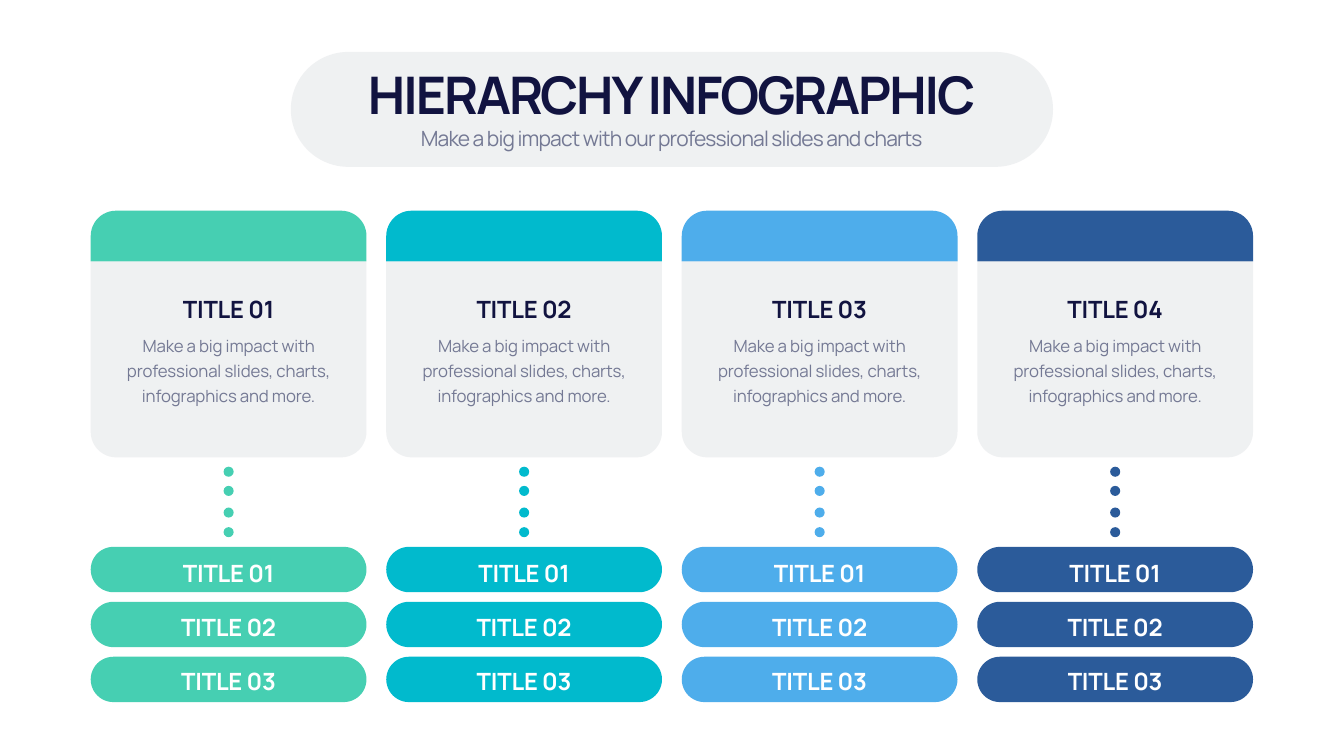
from dataclasses import dataclass

from lxml.etree import SubElement
from pptx import Presentation
from pptx.dml.color import RGBColor
from pptx.enum.shapes import MSO_SHAPE as Shape
from pptx.enum.text import MSO_ANCHOR as Anchor, MSO_AUTO_SIZE as AutoSize, PP_ALIGN as Align
from pptx.oxml.ns import qn
from pptx.util import Inches, Pt

FONT = "Manrope"
NAVY = RGBColor(0x11, 0x13, 0x40)
SLATE = RGBColor(0x74, 0x79, 0x94)
WHITE = RGBColor(0xFF, 0xFF, 0xFF)
GREY = RGBColor(0xC3, 0xC8, 0xCE)
COLUMN_COLORS = [
    RGBColor(0x46, 0xCF, 0xB2),
    RGBColor(0x01, 0xBA, 0xCD),
    RGBColor(0x4E, 0xAD, 0xEB),
    RGBColor(0x2B, 0x5B, 0x9A),
]
DESCRIPTION = "Make a big impact with professional slides, charts, infographics and more."


@dataclass
class Box:
    left: float
    top: float
    width: float
    height: float

    def inner(self, left, top, width, height):
        """Return an inner box, given in percent of this one."""
        return Box(
            self.left + self.width * left / 100,
            self.top + self.height * top / 100,
            self.width * width / 100,
            self.height * height / 100,
        )

    def edges(self):
        return [round(edge) for edge in (self.left, self.top, self.width, self.height)]


def add_block(page, kind, box, color, corners=(), opacity=None):
    block = page.shapes.add_shape(kind, *box.edges())
    block.shadow.inherit = False
    block.line.fill.background()
    block.fill.solid()
    block.fill.fore_color.rgb = color
    for index, corner in enumerate(corners):
        block.adjustments[index] = corner
    if opacity is not None:
        color_node = block.element.spPr.find(qn("a:solidFill"))[0]
        SubElement(color_node, qn("a:alpha"), val=str(opacity * 1000))


def write(holder, text, size, color, spacing, bold=False, anchor=Anchor.TOP, leading=None):
    frame = holder.text_frame
    frame.word_wrap = True
    frame.auto_size = AutoSize.SHAPE_TO_FIT_TEXT
    frame.vertical_anchor = anchor
    para = frame.paragraphs[0]
    para.text = text
    para.alignment = Align.CENTER
    para.line_spacing = Pt(leading) if leading else 1.0
    font = para.font
    font.name, font.size, font.bold = FONT, Pt(size), bold
    font.color.rgb = color
    # Letter spacing, in hundredths of a point
    para._p.pPr.get_or_add_defRPr().set("spc", str(round(spacing * 100)))


def add_text(page, box, text, size, color, spacing, **style):
    write(page.shapes.add_textbox(*box.edges()), text, size, color, spacing, **style)


def draw_header(page, box):
    add_block(page, Shape.ROUNDED_RECTANGLE, box, GREY, [0.5], opacity=25)
    title = page.shapes.title
    title.left, title.top, title.width, title.height = box.inner(2.91, 6.58, 94.11, 59.21).edges()
    write(title, "HIERARCHY INFOGRAPHIC", 74, NAVY, -2.9, bold=True, anchor=Anchor.BOTTOM)
    # Bring the title in front of its pill
    title.element.getparent().append(title.element)
    add_text(page, box.inner(2.91, 61.84, 94.11, 26.75),
             "Make a big impact with our professional slides and charts", 30, SLATE, -1.2)


def draw_column(page, box, number, color):
    # Card with a coloured top
    add_block(page, Shape.ROUND_2_SAME_RECTANGLE, box.inner(0, 0, 100, 10.3), color, [0.5, 0])
    add_block(page, Shape.ROUND_2_SAME_RECTANGLE, box.inner(0, 10.3, 100, 39.9), GREY,
              [0, 0.13], opacity=25)
    add_text(page, box.inner(5.5, 16.62, 89, 6.87), f"TITLE {number:02}", 34, NAVY, -0.3,
             bold=True, anchor=Anchor.BOTTOM)
    add_text(page, box.inner(5.5, 23.9, 89, 16.31), DESCRIPTION, 24, SLATE, -0.2, leading=36)

    # Dotted link, as two pairs of dots
    for top in (52.1, 56, 60.4, 64.4):
        add_block(page, Shape.OVAL, box.inner(48.17, top, 3.66, 2.05), color)

    # Stack of pills
    for row in range(3):
        add_block(page, Shape.ROUNDED_RECTANGLE, box.inner(0, 68.41 + row * 11.18, 100, 9.23),
                  color, [0.5])
        add_text(page, box.inner(5.5, 70.26 + row * 10.97, 89, 6.87), f"TITLE {row + 1:02}",
                 34, WHITE, -0.3, bold=True, anchor=Anchor.MIDDLE)


def draw_columns(page, box):
    width, gap = 23.72, 1.7
    for index, color in enumerate(COLUMN_COLORS):
        column = box.inner(index * (width + gap), 0, width, 100)
        draw_column(page, column, index + 1, color)


def main():
    deck = Presentation()
    deck.slide_width, deck.slide_height = Inches(26.66), Inches(15)
    page = deck.slides.add_slide(deck.slide_layouts[5])
    canvas = Box(0, 0, deck.slide_width, deck.slide_height)
    draw_header(page, canvas.inner(21.64, 6.87, 56.71, 15.2))
    draw_columns(page, canvas.inner(6.75, 27.87, 86.5, 65))
    deck.save("out.pptx")


if __name__ == "__main__":
    main()
